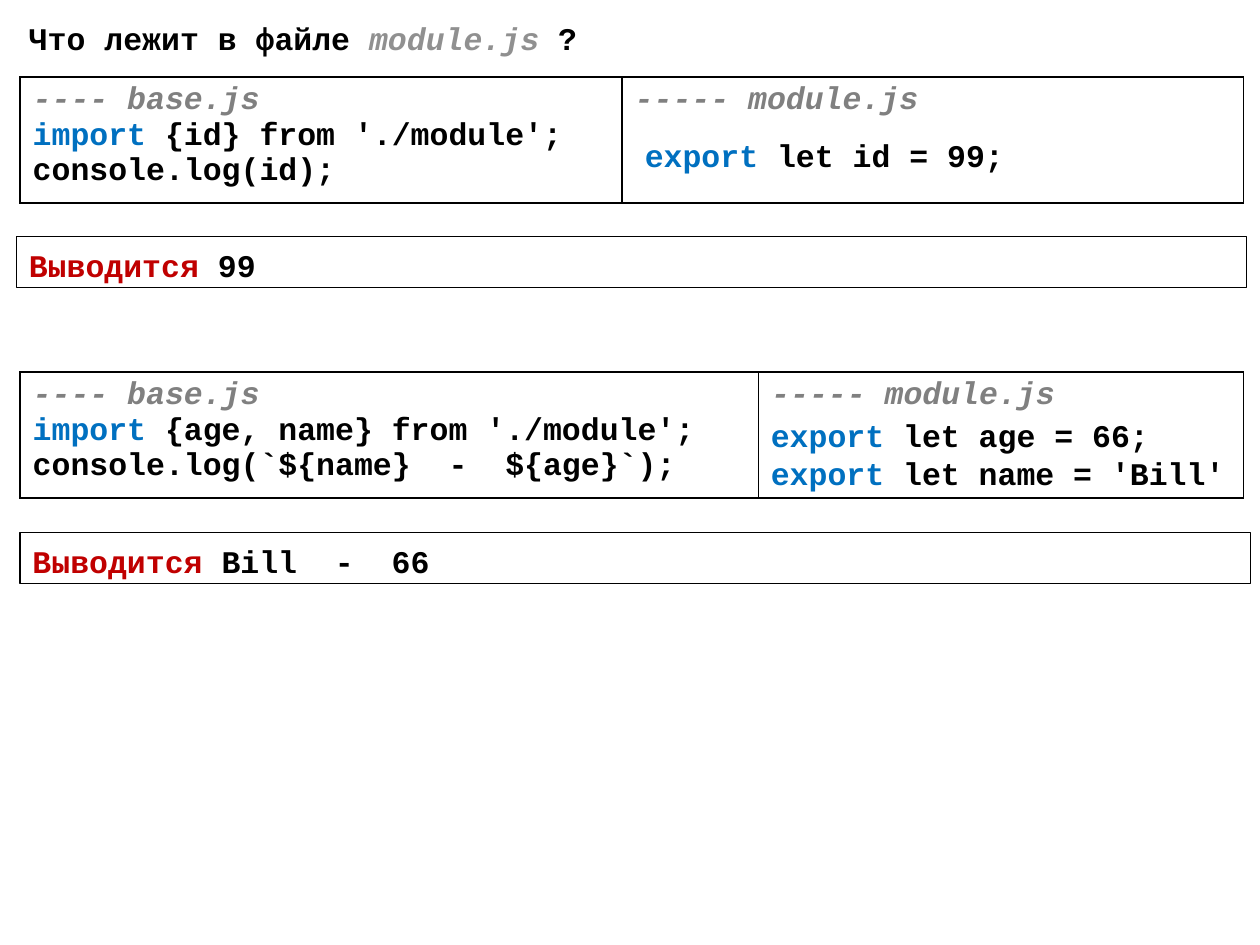
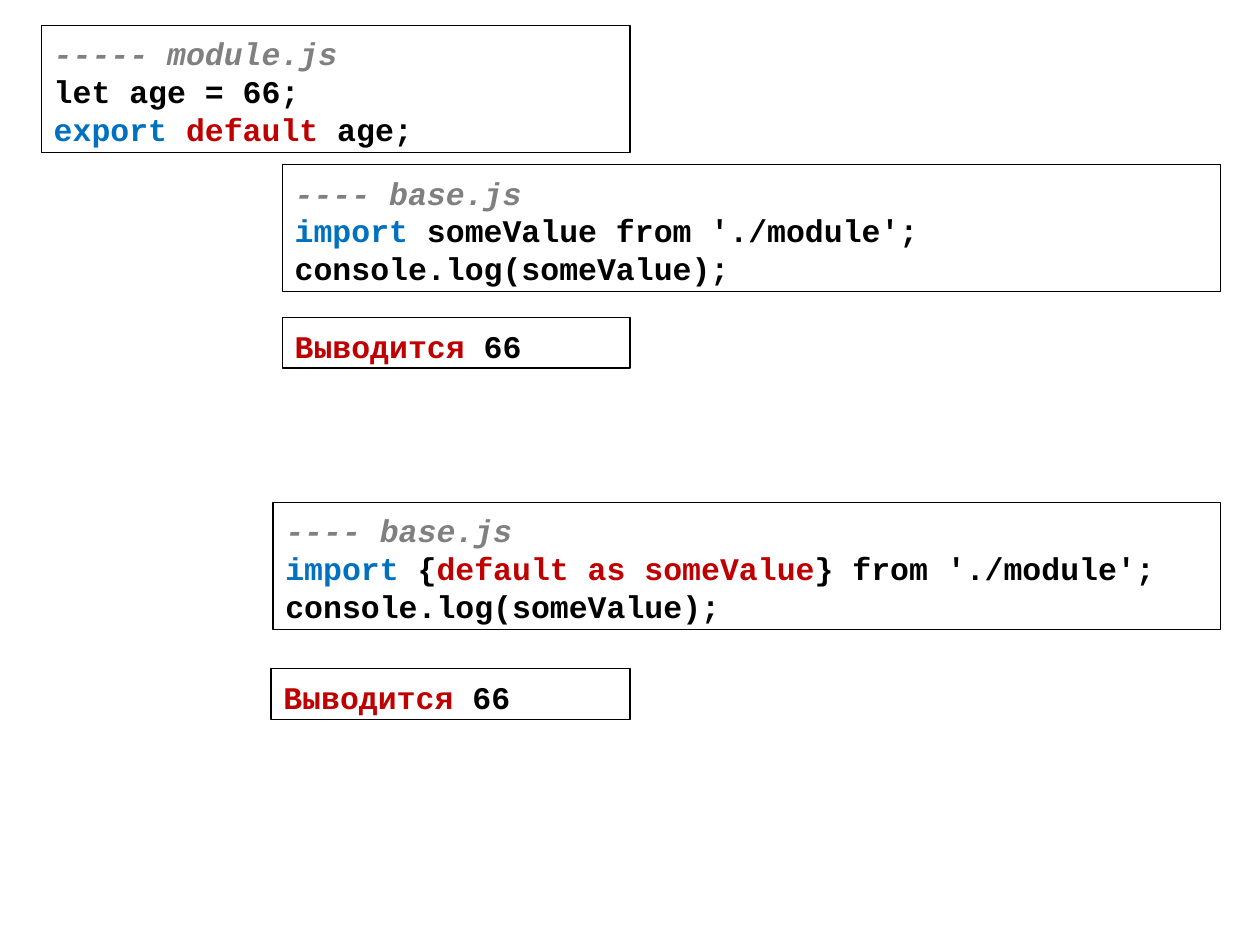
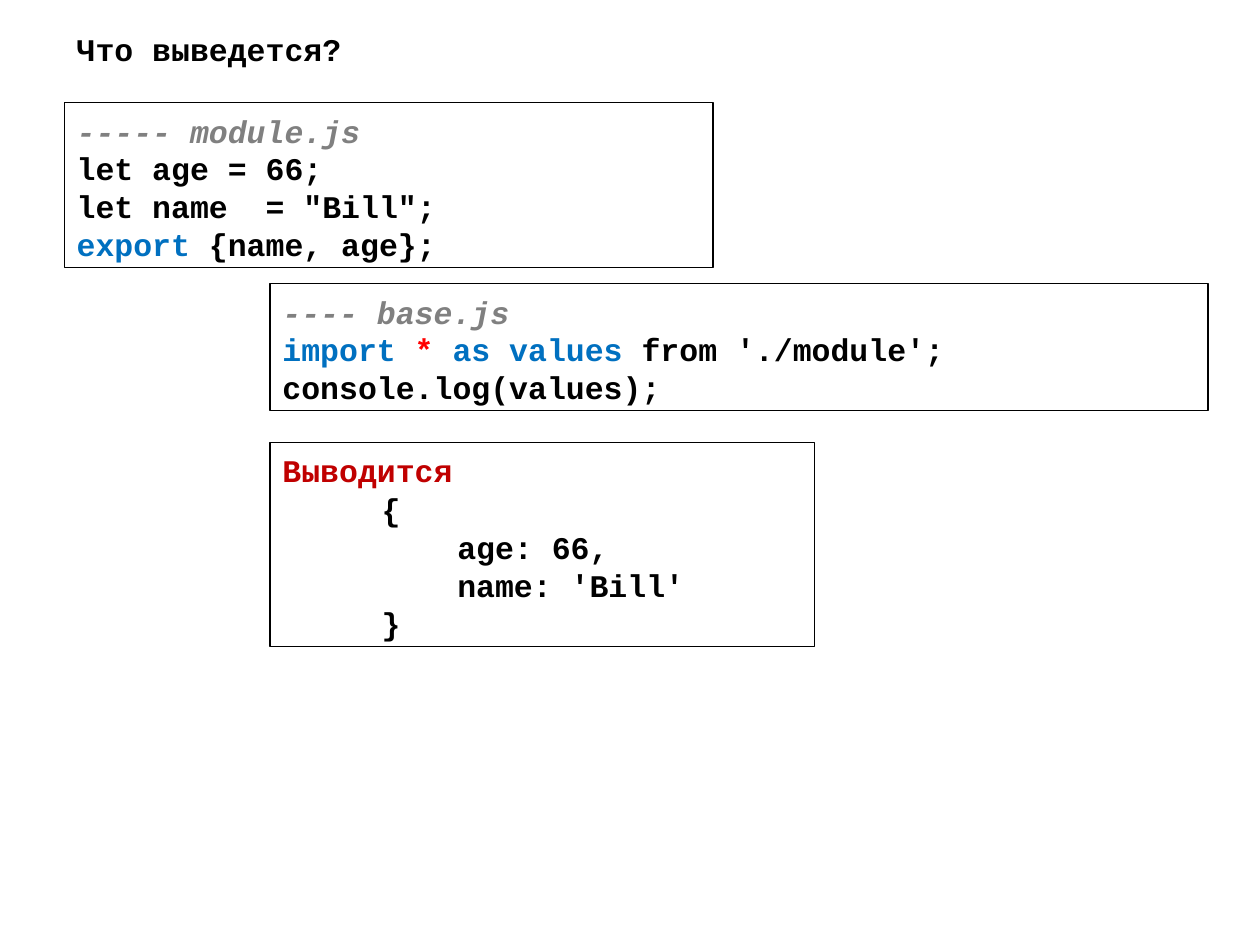
from lxml import etree
from pptx import Presentation
from pptx import util as u
from pptx.dml import color
from pptx.enum import shapes, text
from pptx.oxml import ns

Pt = u.Pt


def rgb(value):
    return color.RGBColor.from_string(value)


# Text styles
FONT = {"name": "Courier New", "size": Pt(18), "bold": True}
STYLES = {
    "plain": ("000000", False),
    "file": ("808080", True),
    "title file": ("909090", True),
    "keyword": ("0070C0", False),
    "accent": ("C00000", False),
    "star": ("FF0000", False),
}
LINE_HEIGHT = Pt(21.6)
FRAME = {"margin_left": Pt(7.2), "margin_right": Pt(7.2),
         "margin_top": Pt(5.2), "margin_bottom": Pt(2),
         "vertical_anchor": text.MSO_ANCHOR.TOP}


def write(frame, lines, spacing=None, indent=0):
    """Each line is a plain string or a list of (text, style) runs."""
    for index, line in enumerate(lines):
        paragraph = frame.paragraphs[0] if index == 0 else frame.add_paragraph()
        paragraph.alignment = text.PP_ALIGN.LEFT
        if spacing:
            paragraph.line_spacing = spacing
        if indent:
            paragraph._p.get_or_add_pPr().set("marL", str(Pt(indent)))
        runs = [(line, "plain")] if isinstance(line, str) else line
        for content, style in runs:
            run = paragraph.add_run()
            run.text = content
            for name, value in FONT.items():
                setattr(run.font, name, value)
            hex_color, run.font.italic = STYLES[style]
            run.font.color.rgb = rgb(hex_color)


# Lines used on several slides
BASE = [("---- base.js", "file")]
MODULE = [("----- module.js", "file")]
PRINTED_66 = [[("Выводится ", "accent"), ("66", "plain")]]

# Tables: left, top, column widths, cell lines
# Boxes: left, top, width, height, lines
# Labels: left, top, width, height, indent, lines
SLIDES = [
    {
        "tables": [
            (11.5, 44, (344, 355), [
                [BASE,
                 [("import", "keyword"), (" {id} from './module';", "plain")],
                 "console.log(id);"],
                [MODULE]]),
            (11.5, 212.5, (422, 277), [
                [BASE,
                 [("import", "keyword"), (" {age, name} from './module';", "plain")],
                 "console.log(`${name}  -  ${age}`);"],
                [MODULE]]),
        ],
        "boxes": [
            (9.4, 135.2, 703, 29, [[("Выводится", "accent"), (" 99", "plain")]]),
            (11.5, 304.4, 703, 29, [[("Выводится ", "accent"), ("Bill  -  66", "plain")]]),
        ],
        "labels": [
            (9.4, 5.8, 329, 29, 0, [[("Что лежит в файле ", "plain"),
                                     ("module.js ", "title file"), ("?", "plain")]]),
            (361.4, 72.3, 221, 29, 0, [[("export", "keyword"), (" let id = 99;", "plain")]]),
            (433.4, 232.6, 275, 51, 0, [
                [("export", "keyword"), (" let age = 66;", "plain")],
                [("export", "keyword"), (" let name = 'Bill'", "plain")]]),
        ],
    },
    {
        "boxes": [
            (161.3, 181.4, 198.7, 29, PRINTED_66),
            (154.8, 382, 205.2, 29, PRINTED_66),
            (23.6, 14.4, 336.4, 72.7, [
                MODULE, "let age = 66;",
                [("export ", "keyword"), ("default", "accent"), (" age;", "plain")]]),
            (161.3, 94, 536, 72.7, [
                BASE,
                [("import ", "keyword"), ("someValue from './module';", "plain")],
                "console.log(someValue);"]),
            (156, 287, 541.3, 72.7, [
                BASE,
                [("import", "keyword"), (" {", "plain"),
                 ("default as someValue", "accent"), ("} from './module';", "plain")],
                "console.log(someValue);"]),
        ],
    },
    {
        "boxes": [
            (154.3, 252.7, 311, 116.6, [[("Выводится", "accent")]]),
            (36.7, 58.6, 370.8, 94.5, [
                MODULE, "let age = 66;", 'let name  = "Bill";',
                [("export", "keyword"), (" {name, age};", "plain")]]),
            (154.3, 162, 536, 72.7, [
                BASE,
                [("import ", "keyword"), ("* ", "star"), ("as values", "keyword"),
                 (" from './module';", "plain")],
                "console.log(values);"]),
        ],
        "labels": [
            (36.7, 11.7, 166.3, 29, 0, ["Что выведется?"]),
            (139, 275, 260.6, 94.3, 72,
             ["{", "    age: 66,", "    name: 'Bill'", "}"]),
        ],
    },
]

presentation = Presentation()
presentation.slide_width, presentation.slide_height = Pt(720), Pt(540)

for content in SLIDES:
    slide = presentation.slides.add_slide(presentation.slide_layouts[6])

    # Side-by-side code tables
    for left, top, widths, cells in content.get("tables", []):
        table = slide.shapes.add_table(
            1, len(widths), Pt(left), Pt(top), Pt(sum(widths)), Pt(72)).table
        table.first_row = table.horz_banding = False
        for column, width in enumerate(widths):
            table.columns[column].width = Pt(width)
            cell = table.cell(0, column)
            write(cell.text_frame, cells[column])
            properties = cell._tc.get_or_add_tcPr()
            for side in ("lnL", "lnR", "lnT", "lnB"):
                border = etree.SubElement(properties, ns.qn("a:" + side), w=str(Pt(1)))
                fill = etree.SubElement(border, ns.qn("a:solidFill"))
                etree.SubElement(fill, ns.qn("a:srgbClr"), val="000000")
            cell.fill.background()

    # Outlined code and output boxes
    for left, top, width, height, lines in content["boxes"]:
        shape = slide.shapes.add_shape(
            shapes.MSO_SHAPE.RECTANGLE, Pt(left), Pt(top), Pt(width), Pt(height))
        shape.shadow.inherit = False
        shape.fill.background()
        shape.line.color.rgb = rgb("000000")
        shape.line.width = Pt(0.75)
        for name, value in FRAME.items():
            setattr(shape.text_frame, name, value)
        write(shape.text_frame, lines, LINE_HEIGHT)

    # Free text
    for left, top, width, height, indent, lines in content.get("labels", []):
        label = slide.shapes.add_textbox(Pt(left), Pt(top), Pt(width), Pt(height))
        label.text_frame.word_wrap = False
        for name, value in FRAME.items():
            setattr(label.text_frame, name, value)
        write(label.text_frame, lines, LINE_HEIGHT, indent)

presentation.save("out.pptx")
